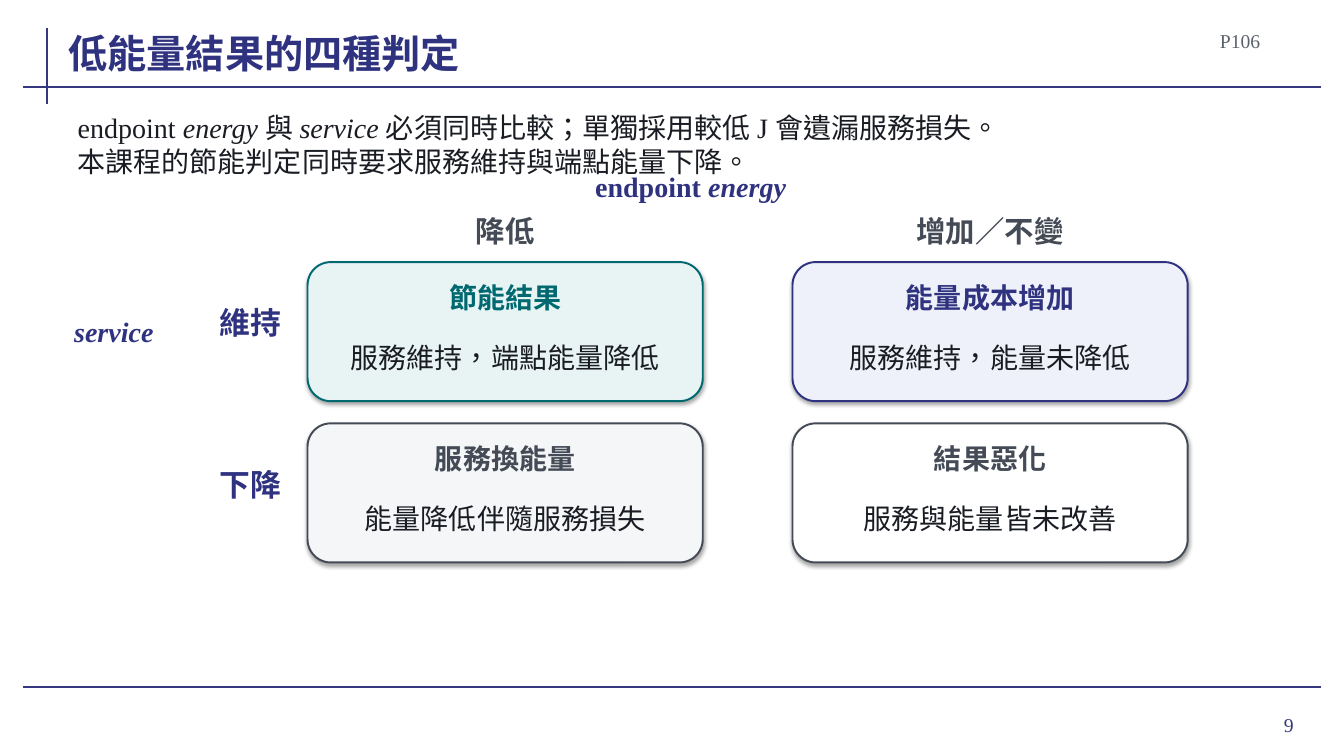
from dataclasses import dataclass

from lxml import etree
from pptx import Presentation
from pptx import util as u
from pptx.dml import color
from pptx.enum import lang, shapes, text
from pptx.oxml import ns

NAVY, RULE, TEAL = "2F327F", "35377F", "006970"
SLATE, INK, GRAY = "444B56", "191C22", "5C626C"
LEFT, CENTER, RIGHT = text.PP_ALIGN.LEFT, text.PP_ALIGN.CENTER, text.PP_ALIGN.RIGHT
TOP, MIDDLE, BOTTOM = text.MSO_ANCHOR.TOP, text.MSO_ANCHOR.MIDDLE, text.MSO_ANCHOR.BOTTOM
COLUMNS, ROWS = (3.05, 7.86), (2.6, 4.2)
CARD_WIDTH, CARD_HEIGHT, CARD_PAD = 3.92, 1.38, 0.2


@dataclass
class Label:
    content: str
    left: float
    top: float
    width: float
    height: float
    size: float = 20
    hue: str = NAVY
    bold: bool = True
    align: text.PP_ALIGN = CENTER
    anchor: text.MSO_ANCHOR = MIDDLE
    inset: float = 0.04
    wrap: bool = True


@dataclass
class Card:
    column: int
    row: int
    verdict: str
    detail: str
    fill: str
    accent: str


@dataclass
class Rule:
    x1: float
    y1: float
    x2: float
    y2: float


RULES = [
    Rule(0.47, 0.28, 0.47, 1.03),
    Rule(0.23, 0.86, 13.1, 0.86),
    Rule(0.23, 6.82, 13.1, 6.82),
]

LABELS = [
    Label("9", 11.96, 6.93, 0.97, 0.52, 14, RULE, False, RIGHT, inset=0.1),
    Label("低能量結果的四種判定", 0.68, 0.18, 10.9, 0.58, 28,
          align=LEFT, anchor=BOTTOM, inset=0, wrap=False),
    Label("P106", 11.72, 0.27, 0.82, 0.26, 14, GRAY, False, RIGHT),
    Label("endpoint *energy* 與 *service* 必須同時比較；單獨採用較低 J 會遺漏服務損失。\n"
          "本課程的節能判定同時要求服務維持與端點能量下降。",
          0.76, 1.12, 11.78, 0.62, 20, INK, False, LEFT, inset=0.01),
    Label("*service*", 0.58, 3.03, 1.1, 0.52),
    Label("endpoint *energy*", 5.3, 1.64, 3.1, 0.46, anchor=TOP),
]

COLUMN_HEADS = ["降低", "增加／不變"]
ROW_HEADS = ["維持", "下降"]

CARDS = [
    Card(0, 0, "節能結果", "服務維持，端點能量降低", "E8F4F4", TEAL),
    Card(1, 0, "能量成本增加", "服務維持，能量未降低", "EEF1F9", NAVY),
    Card(0, 1, "服務換能量", "能量降低伴隨服務損失", "F5F6F8", SLATE),
    Card(1, 1, "結果惡化", "服務與能量皆未改善", "FFFFFF", SLATE),
]


def rgb(value: str) -> color.RGBColor:
    return color.RGBColor.from_string(value)


def assign(target, values: dict) -> None:
    for name, value in values.items():
        setattr(target, name, value)


def draw_rule(page, rule: Rule) -> None:
    ends = [u.Inches(v) for v in (rule.x1, rule.y1, rule.x2, rule.y2)]
    line = page.shapes.add_connector(shapes.MSO_CONNECTOR.STRAIGHT, *ends)
    line.line.color.rgb = rgb(RULE)
    line.line.width = u.Pt(1.5)
    etree.SubElement(line._element.spPr, ns.qn("a:effectLst"))


def draw_label(page, label: Label) -> None:
    box = page.shapes.add_textbox(
        *(u.Inches(v) for v in (label.left, label.top, label.width, label.height)))
    frame = box.text_frame
    inset = u.Inches(label.inset)
    assign(frame, {
        "margin_left": inset, "margin_right": inset,
        "margin_top": inset, "margin_bottom": inset,
        "word_wrap": label.wrap, "vertical_anchor": label.anchor,
    })
    para = frame.paragraphs[0]
    para.alignment = label.align
    for number, line in enumerate(label.content.split("\n")):
        if number:
            para.add_line_break()
        for index, piece in enumerate(line.split("*")):
            if not piece:
                continue
            span = para.add_run()
            span.text = piece
            assign(span.font, {
                "name": "Times New Roman", "size": u.Pt(label.size),
                "bold": label.bold, "italic": index % 2 == 1,
                "language_id": lang.MSO_LANGUAGE_ID.TRADITIONAL_CHINESE,
            })
            span.font.color.rgb = rgb(label.hue)


def add_soft_shadow(shape) -> None:
    shape.shadow.inherit = False
    effects = shape._element.spPr.find(ns.qn("a:effectLst"))
    shadow = etree.SubElement(
        effects, ns.qn("a:outerShdw"), blurRad=str(u.Pt(3.1)), dist=str(u.Pt(1.8)),
        dir="5400000", algn="ctr", rotWithShape="0")
    tone = etree.SubElement(shadow, ns.qn("a:srgbClr"), val="000000")
    etree.SubElement(tone, ns.qn("a:alpha"), val="35000")


def draw_card(page, card: Card) -> None:
    left, top = COLUMNS[card.column], ROWS[card.row]
    panel = page.shapes.add_shape(
        shapes.MSO_SHAPE.ROUNDED_RECTANGLE,
        *(u.Inches(v) for v in (left, top, CARD_WIDTH, CARD_HEIGHT)))
    panel.fill.solid()
    panel.fill.fore_color.rgb = rgb(card.fill)
    panel.line.color.rgb = rgb(card.accent)
    panel.line.width = u.Pt(1.4)
    add_soft_shadow(panel)
    inner_left, inner_width = left + CARD_PAD, CARD_WIDTH - 2 * CARD_PAD
    draw_label(page, Label(card.verdict, inner_left, top + 0.16, inner_width, 0.38,
                           hue=card.accent))
    draw_label(page, Label(card.detail, inner_left, top + 0.64, inner_width, 0.6,
                           hue=INK, bold=False))


def main() -> None:
    deck = Presentation()
    deck.slide_width, deck.slide_height = u.Inches(13.33), u.Inches(7.5)
    page = deck.slides.add_slide(deck.slide_layouts[6])
    for rule in RULES:
        draw_rule(page, rule)
    for label in LABELS:
        draw_label(page, label)
    for head, left in zip(COLUMN_HEADS, COLUMNS):
        draw_label(page, Label(head, left, 2.07, CARD_WIDTH, 0.48, 21, SLATE, anchor=TOP))
    for head, top in zip(ROW_HEADS, ROWS):
        draw_label(page, Label(head, 1.28, top + 0.34, 1.55, 0.52, 22, align=RIGHT))
    for card in CARDS:
        draw_card(page, card)
    deck.save("out.pptx")


if __name__ == "__main__":
    main()
